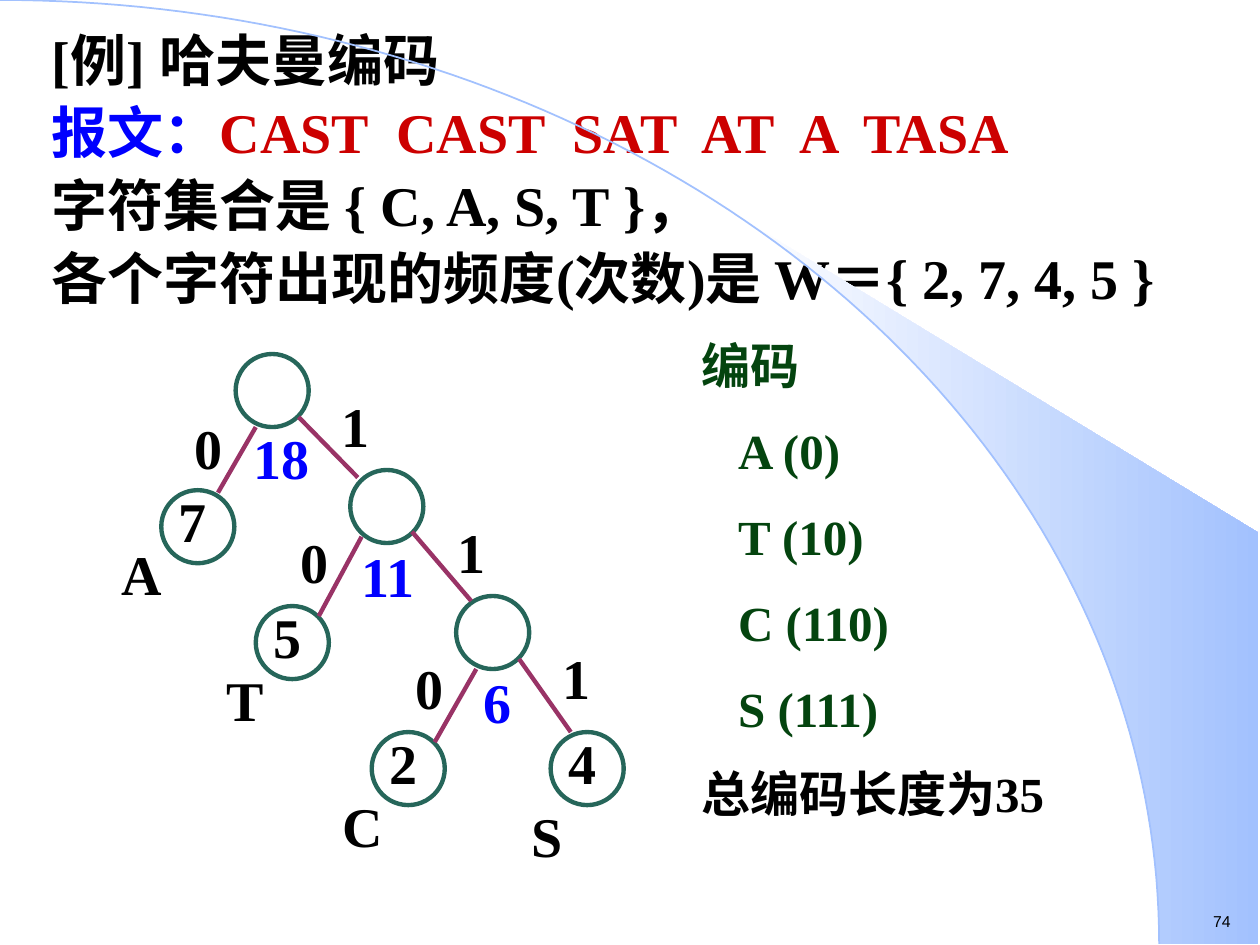
from math import asin, cos, pi, sin

from lxml.etree import SubElement
from pptx import Presentation
from pptx.dml.color import RGBColor
from pptx.enum.shapes import MSO_CONNECTOR, MSO_SHAPE
from pptx.enum.text import MSO_ANCHOR, MSO_AUTO_SIZE, PP_ALIGN
from pptx.oxml.ns import qn
from pptx.util import Inches, Pt

COLORS = {
    "text": "000000", "blue": "0000FF", "red": "CC0000", "green": "04440F",
    "node": "26665A", "edge": "993366", "sky": "A2C1FE", "white": "FFFFFF",
}
SERIF = "Times New Roman"


def rgb(name):
    return RGBColor.from_string(COLORS[name])


def add_text(left, top, width, height, lines, size=32, align=PP_ALIGN.LEFT,
             inset=True, space=0, font=SERIF, bold=True, wrap=True):
    """Add a text box; each line is (text, colour name, indent in inches)."""
    box = slide.shapes.add_textbox(Inches(left), Inches(top), Inches(width), Inches(height))
    frame = box.text_frame
    frame.word_wrap = wrap
    if not inset:
        frame.margin_left = frame.margin_right = frame.margin_top = frame.margin_bottom = 0
    for index, (text, color, indent) in enumerate(lines):
        para = frame.add_paragraph() if index else frame.paragraphs[0]
        para.alignment = align
        if index:
            para.space_before = Pt(space)
        if indent:
            para._p.get_or_add_pPr().set("marL", str(Inches(indent)))
        span = para.add_run()
        span.text = text
        span.font.name, span.font.size, span.font.bold = font, Pt(size), bold
        span.font.color.rgb = rgb(color)


deck = Presentation()
deck.slide_width, deck.slide_height = Inches(10), Inches(7.5)
slide = deck.slides.add_slide(deck.slide_layouts[1])
title = slide.shapes.title
title._element.getparent().remove(title._element)

# Background: a quarter ellipse and a gradient beam that leaves it at x = 5.89
radius_x, radius_y = 9.2, 7.49
beam_start = asin(5.89 / radius_x)


def arc_points(start, steps):
    """Points on the quarter ellipse, from angle start to its right end."""
    angles = [start + (pi / 2 - start) * step / steps for step in range(steps + 1)]
    return [(Inches(radius_x * sin(a)), Inches(radius_y * (1 - cos(a)))) for a in angles]


beam_points = arc_points(beam_start, 24) + [
    (Inches(9.99), Inches(7.49)), (Inches(9.99), Inches(4.23))]
outlines = []
for points, closed in ((beam_points, True), (arc_points(0, 90), False)):
    builder = slide.shapes.build_freeform(*points[0])
    builder.add_line_segments(points[1:], close=closed)
    outline = builder.convert_to_shape()
    outline.shadow.inherit = False
    outlines.append(outline)
beam, arc = outlines
beam.fill.gradient()
beam.fill.gradient_angle = 0
for stop, color, position in zip(beam.fill.gradient_stops, ("white", "sky"), (0, 1)):
    stop.color.rgb = rgb(color)
    stop.position = position
beam.line.fill.background()
arc.fill.background()
arc.line.color.rgb = rgb("sky")
arc.line.width = Pt(1)

add_text(9.53, 7.19, 0.35, 0.25, [("74", "text", 0)], size=9, font="Arial",
         bold=False, wrap=False)

# Problem statement
body = slide.placeholders[1]
body.left, body.top, body.width, body.height = (
    Inches(0.31), Inches(0.21), Inches(9.29), Inches(2.24))
frame = body.text_frame
frame.word_wrap = True
frame.auto_size = MSO_AUTO_SIZE.NONE
frame.vertical_anchor = MSO_ANCHOR.TOP
statement = [
    [("[例] 哈夫曼编码", "text")],
    [("报文：", "blue"), ("CAST  CAST  SAT  AT  A  TASA", "red")],
    [("字符集合是 { C, A, S, T }，", "text")],
    [("各个字符出现的频度(次数)是 W＝{ 2, 7, 4, 5 }", "text")],
]
for index, line in enumerate(statement):
    para = frame.add_paragraph() if index else frame.paragraphs[0]
    para.line_spacing = 0.9
    para.space_before = Pt(7 if index else 0)
    properties = para._p.get_or_add_pPr()
    properties.set("marL", str(Inches(0.38)))
    properties.set("indent", str(Inches(-0.38)))
    SubElement(properties, qn("a:buNone"))
    for text, color in line:
        span = para.add_run()
        span.text = text
        span.font.name, span.font.size, span.font.bold = SERIF, Pt(32), True
        span.font.color.rgb = rgb(color)

# Huffman tree: circles with the leaf weights
nodes = [(1.28, 3.89, "7"), (2.03, 4.81, "5"), (4.37, 5.81, "4"), (2.95, 5.81, "2"),
         (1.87, 2.81, ""), (2.78, 3.73, ""), (3.62, 4.73, "")]
for left, top, weight in nodes:
    circle = slide.shapes.add_shape(
        MSO_SHAPE.OVAL, Inches(left), Inches(top), Inches(0.58), Inches(0.58))
    circle.shadow.inherit = False
    circle.fill.background()
    circle.line.color.rgb = rgb("node")
    circle.line.width = Pt(2.5)
    if weight:
        add_text(left + 0.04, top - 0.08, 0.58, 0.63, [(weight, "text", 0)])

edges = [(2.03, 3.39, 1.73, 3.91), (4.12, 5.23, 4.53, 5.81), (2.37, 3.31, 2.84, 3.79),
         (3.27, 4.22, 3.74, 4.77), (2.87, 4.26, 2.53, 4.89), (3.78, 5.31, 3.45, 5.89)]
for edge in edges:
    branch = slide.shapes.add_connector(MSO_CONNECTOR.STRAIGHT, *map(Inches, edge))
    branch.line.color.rgb = rgb("edge")
    branch.line.width = Pt(2.5)
    SubElement(branch._element.spPr, qn("a:effectLst"))

branch_bits = [(1.28, 3.23, "0"), (2.12, 4.14, "0"), (3.03, 5.14, "0"),
               (2.45, 3.06, "1"), (3.37, 4.06, "1"), (4.2, 5.06, "1")]
for left, top, bit in branch_bits:
    add_text(left, top, 0.75, 0.63, [(bit, "text", 0)], align=PP_ALIGN.CENTER)

leaf_letters = [(1.7, 5.23, "T"), (0.87, 4.23, "A"), (2.62, 6.23, "C"), (4.12, 6.31, "S")]
for left, top, letter in leaf_letters:
    add_text(left, top, 0.67, 0.63, [(letter, "text", 0)])

# Resulting codes
codes = [(code, "green", 0.29) for code in ("A (0)", "T (10)", "C (110)", "S (111)")]
add_text(5.47, 2.61, 4.17, 4.07,
         [("编码", "green", 0), *codes, ("总编码长度为35", "text", 0)],
         size=28, space=15.4)

# Weights of the inner nodes
add_text(3.74, 5.25, 0.39, 0.63, [("6", "blue", 0)])
for left, top, weight in ((2.87, 4.3, "11"), (2.01, 3.36, "18")):
    add_text(left, top, 0.47, 0.53, [(weight, "blue", 0)], inset=False)

deck.save("out.pptx")
